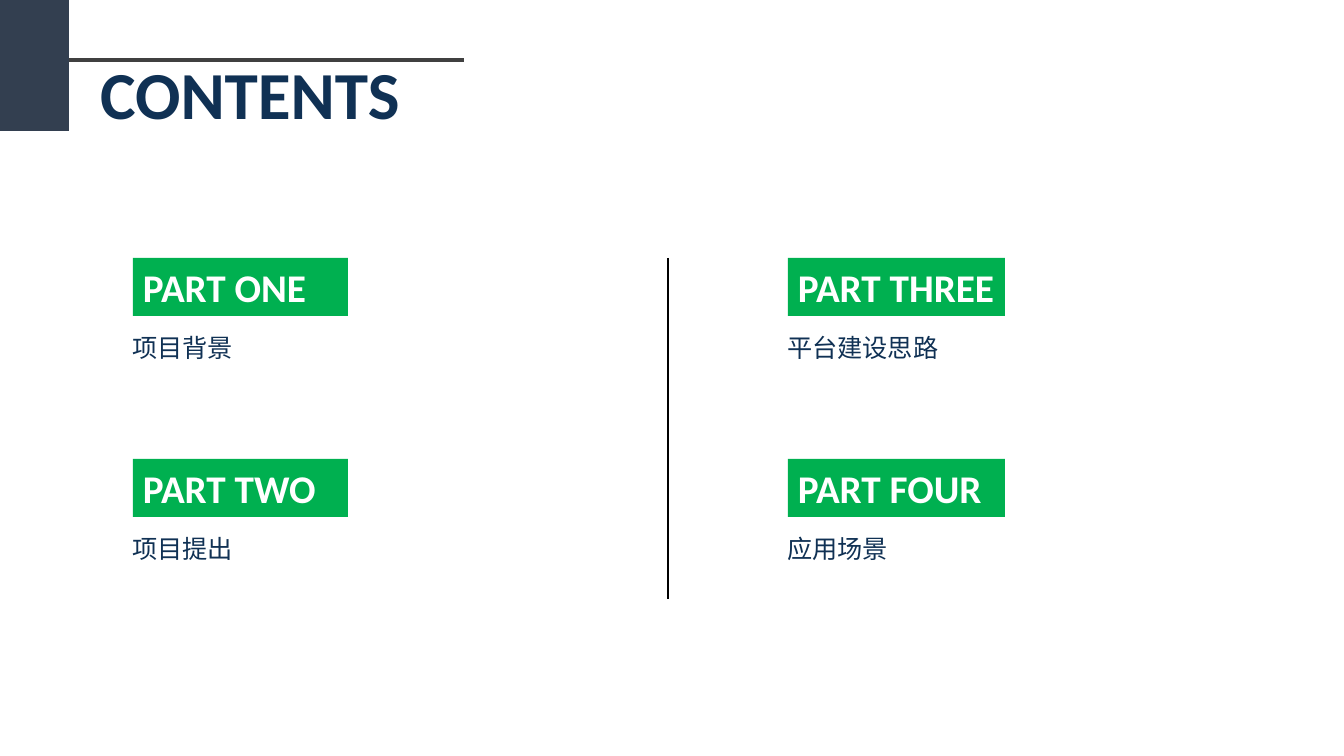
import dataclasses

import lxml.etree
import pptx
import pptx.dml.color
import pptx.enum.shapes
import pptx.enum.text
import pptx.oxml.ns
import pptx.util

TITLE = "CONTENTS"
COLUMNS = [
    {"badge_width": 215, "parts": [("PART ONE", "项目背景"), ("PART TWO", "项目提出")]},
    {"badge_width": 217, "parts": [("PART THREE", "平台建设思路"), ("PART FOUR", "应用场景")]},
]

SLIDE_SIZE = (1344, 756)
TITLE_BOX = (90, 47, 324, 92)
CORNER_BOX = (0, 0, 69, 131)
TITLE_RULE = (69, 60, 464, 60)
DIVIDER = (668, 258, 668, 599)
BADGE_LEFT, BADGE_TOP, BADGE_HEIGHT = 133, 258, 58
CAPTION_LEFT, CAPTION_TOP, CAPTION_WIDTH, CAPTION_HEIGHT = 122, 318, 458, 46
COLUMN_PITCH, ROW_PITCH = 655, 201
COMPARISON_LAYOUT = 3 + 1
EMU_PER_PIXEL = 12192000 / SLIDE_SIZE[0]


@dataclasses.dataclass(frozen=True)
class Theme:
    navy: str = "103154"
    slate: str = "333F50"
    gray: str = "404040"
    green: str = "00B050"
    white: str = "FFFFFF"
    black: str = "000000"
    latin: str = "Calibri"
    chinese: str = "Noto Sans CJK SC"
    title_size: int = 48
    badge_size: int = 28
    caption_size: int = 18


THEME = Theme()


def emu(*pixels):
    return [round(value * EMU_PER_PIXEL) for value in pixels]


def rgb(color):
    return pptx.dml.color.RGBColor.from_string(color)


def place(shape, box):
    shape.left, shape.top, shape.width, shape.height = emu(*box)


def write(shape, text, *, size, font, color, bold=False, wrap=True, spacing=1.0):
    frame = shape.text_frame
    frame.word_wrap = wrap
    frame.auto_size = pptx.enum.text.MSO_AUTO_SIZE.SHAPE_TO_FIT_TEXT
    frame.vertical_anchor = pptx.enum.text.MSO_ANCHOR.TOP
    paragraph = frame.paragraphs[0]
    paragraph.alignment = pptx.enum.text.PP_ALIGN.LEFT
    paragraph.line_spacing = spacing
    paragraph.space_before = pptx.util.Pt(0)
    properties = paragraph._p.get_or_add_pPr()
    properties.set("marL", "0")
    properties.set("indent", "0")
    lxml.etree.SubElement(properties, pptx.oxml.ns.qn("a:buNone"))
    run = paragraph.add_run()
    run.text = text
    run.font.size = pptx.util.Pt(size)
    run.font.bold = bold
    run.font.color.rgb = rgb(color)
    run.font.name = font
    east_asian = lxml.etree.SubElement(run._r.get_or_add_rPr(), pptx.oxml.ns.qn("a:ea"))
    east_asian.set("typeface", font)


def add_block(slide, box, color):
    shape = slide.shapes.add_shape(pptx.enum.shapes.MSO_SHAPE.RECTANGLE, *emu(*box))
    shape.shadow.inherit = False
    shape.fill.solid()
    shape.fill.fore_color.rgb = rgb(color)
    shape.line.fill.background()
    return shape


def add_line(slide, ends, color, width):
    connector = slide.shapes.add_connector(
        pptx.enum.shapes.MSO_CONNECTOR.STRAIGHT, *emu(*ends))
    connector.line.color.rgb = rgb(color)
    connector.line.width = pptx.util.Pt(width)
    lxml.etree.SubElement(connector._element.spPr, pptx.oxml.ns.qn("a:effectLst"))


def main():
    presentation = pptx.Presentation()
    presentation.slide_width, presentation.slide_height = emu(*SLIDE_SIZE)
    slide = presentation.slides.add_slide(presentation.slide_layouts[COMPARISON_LAYOUT])

    title, *captions = slide.placeholders
    place(title, TITLE_BOX)
    write(title, TITLE, size=THEME.title_size, font=THEME.latin,
          color=THEME.navy, bold=True, wrap=False)

    remaining_captions = iter(captions)
    for column, content in enumerate(COLUMNS):
        shift = column * COLUMN_PITCH
        for row, (part, topic) in enumerate(content["parts"]):
            drop = row * ROW_PITCH
            badge = add_block(
                slide,
                (BADGE_LEFT + shift, BADGE_TOP + drop, content["badge_width"], BADGE_HEIGHT),
                THEME.green)
            write(badge, part, size=THEME.badge_size, font=THEME.latin,
                  color=THEME.white, bold=True)
            caption = next(remaining_captions)
            place(caption, (CAPTION_LEFT + shift, CAPTION_TOP + drop,
                            CAPTION_WIDTH, CAPTION_HEIGHT))
            write(caption, topic, size=THEME.caption_size, font=THEME.chinese,
                  color=THEME.navy, spacing=1.3)

    add_line(slide, DIVIDER, THEME.black, 1)
    add_block(slide, CORNER_BOX, THEME.slate)
    add_line(slide, TITLE_RULE, THEME.gray, 3)
    presentation.save("out.pptx")


if __name__ == "__main__":
    main()
